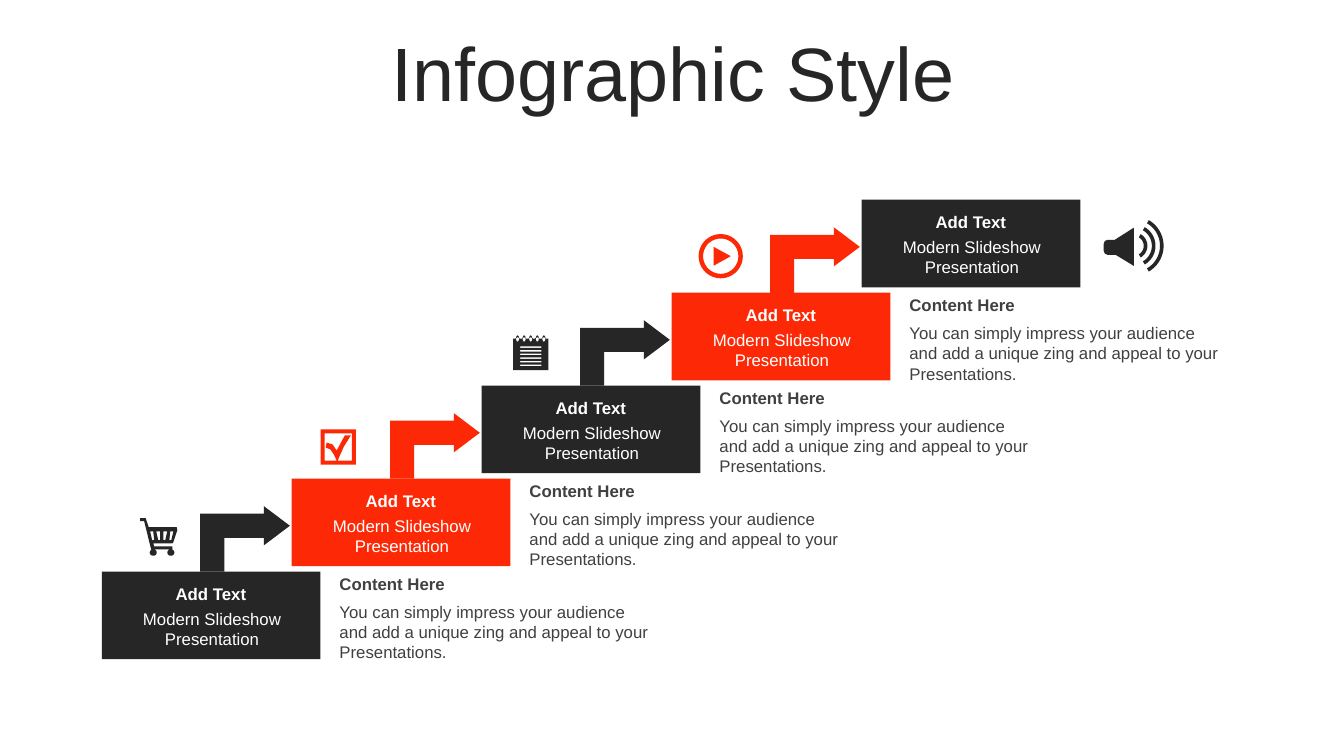
from math import cos, radians, sin

from pptx import Presentation
from pptx.dml.color import RGBColor
from pptx.enum.shapes import MSO_SHAPE
from pptx.enum.text import MSO_ANCHOR, PP_ALIGN
from pptx.util import Pt

RECTANGLE, BENT_ARROW = MSO_SHAPE.RECTANGLE, MSO_SHAPE.BENT_UP_ARROW
TOP, MIDDLE = MSO_ANCHOR.TOP, MSO_ANCHOR.MIDDLE
LEFT, CENTER = PP_ALIGN.LEFT, PP_ALIGN.CENTER

COLORS = {"dark": "262626", "red": "FD2906", "white": "FFFFFF", "gray": "404040"}
FONT = "Arial"

TITLE = "Infographic Style"
STEP_HEADING = "Add Text"
STEP_TEXT = "Modern Slideshow Presentation"
DETAIL_HEADING = "Content Here"
DETAIL_TEXT = ("You can simply impress your audience and add a unique zing "
               "and appeal to your Presentations.")
STEP_COLORS = ["dark", "red", "dark", "red", "dark"]

# Staircase geometry in points
FIRST_LEFT, FIRST_TOP = 72.7, 408.3
STEP_RIGHT, STEP_UP = 135.7, 66.4
BOX_WIDTH, BOX_HEIGHT = 156.2, 62.6
ARROW_WIDTH, ARROW_HEIGHT = 46.8, 64.1
ARROW_ADJUSTMENTS = [0.368, 0.299, 0.397]


def arc(cx, cy, rx, ry, start=0, end=360, pieces=36):
    """Points along an elliptical arc, angles in degrees."""
    angles = [radians(start + (end - start) * n / pieces) for n in range(pieces + 1)]
    return [(cx + rx * cos(a), cy + ry * sin(a)) for a in angles]


def box_outline(left, top, right, bottom):
    return [(left, top), (right, top), (right, bottom), (left, bottom)]


def cart():
    frame = [(4, 0), (6.2, 6.5), (26.2, 6.5), (26.6, 8.6), (23.6, 17.6), (23, 18),
             (9.5, 18), (10, 20.2), (23, 20.2), (23, 22.3), (7.9, 22.3),
             (2.9, 2.2), (0, 2.2), (0, 0)]
    # Top left, top right, bottom left, bottom right of each basket slot
    slots = [(7.2, 9.4, 8.6, 10.1), (11.5, 14.4, 13, 14.4),
             (16.6, 19.4, 16.6, 18), (21.6, 23.8, 20.9, 22.3)]
    basket = [[(a, 9.4), (b, 9.4), (d, 15.8), (c, 15.8)] for a, b, c, d in slots]
    wheels = [arc(x, 24.6, 2.5, 2.3) for x in (9.4, 22)]
    return [frame, *basket, *wheels]


def check_box():
    inside = [(2.9, 2.9), (2.9, 22.3), (11.5, 22.3), (9.5, 18), (7, 14.3), (3.6, 13),
              (4.3, 9.4), (8.6, 10.8), (11.5, 15.1), (17.3, 4.3), (21.6, 4.3),
              (16.5, 12.5), (12.2, 22.3), (22.3, 22.3), (22.3, 2.9)]
    return [box_outline(0, 0, 25.2, 25.2), inside]


def notepad():
    ring_centers = [3.2 + 4.7 * n for n in range(5)]
    page = [(0, 2.2)]
    for x in ring_centers:
        page += [(x - 1.8, 2.2), *arc(x, 3.2, 1.8, 1.8, 180, 0, 8), (x + 1.8, 2.2)]
        page[-10:-1] = [(px, 6.4 - py) for px, py in page[-10:-1]]
    page += [(25.2, 2.2), (25.2, 24.8), (0, 24.8)]
    rings = [arc(x, 2.2, 1.1, 2.2) for x in ring_centers]
    lines = [box_outline(5, 7.8 + 2.6 * n, 20.2, 8.9 + 2.6 * n) for n in range(6)]
    return [page, *rings, *lines]


def play_button():
    circles = [arc(15.8, 15.8, r, r) for r in (15.8, 12.6)]
    return [*circles, [(10.8, 9.2), (23, 15.8), (10.8, 22.6)]]


def loudspeaker():
    horn = [(21.6, 5), (21.6, 32.4), (8.6, 24.5), (2.9, 24.5), (0.8, 23.6), (0, 21.6),
            (0, 16.6), (0.8, 14.5), (2.9, 13.7), (7.9, 13.7)]
    waves = [arc(21.6, 18, r + 1.3, r + 1.3, -60, 60)
             + arc(21.6, 18, r - 1.3, r - 1.3, 60, -60) for r in (8.3, 14.1, 19.9)]
    return [horn, *waves]


# Left, top and contours of the icon beside each step
ICONS = [(100.1, 370.1, cart()), (229, 306.7, check_box()), (366.5, 239.6, notepad()),
         (499, 167.2, play_button()), (788.4, 157.6, loudspeaker())]


def paint(shape, color):
    shape.shadow.inherit = False
    shape.fill.solid()
    shape.fill.fore_color.rgb = RGBColor.from_string(COLORS[color])
    shape.line.fill.background()


def add_icon(slide, left, top, contours, color):
    placed = [[(Pt(left + x), Pt(top + y)) for x, y in points] for points in contours]
    builder = slide.shapes.build_freeform(*placed[0][0], scale=1.0)
    builder.add_line_segments(placed[0][1:], close=True)
    for points in placed[1:]:
        builder.move_to(*points[0])
        builder.add_line_segments(points[1:], close=True)
    paint(builder.convert_to_shape(), color)


def add_text(slide, text, left, top, width, height, color,
             size=12, bold=False, align=LEFT, anchor=TOP):
    frame = slide.shapes.add_textbox(Pt(left), Pt(top), Pt(width), Pt(height)).text_frame
    frame.word_wrap = True
    frame.vertical_anchor = anchor
    frame.text = text
    paragraph = frame.paragraphs[0]
    paragraph.alignment = align
    font = paragraph.runs[0].font
    font.name, font.size, font.bold = FONT, Pt(size), bold
    font.color.rgb = RGBColor.from_string(COLORS[color])
    return paragraph


def add_step(slide, left, top, color):
    box = slide.shapes.add_shape(RECTANGLE, Pt(left), Pt(top), Pt(BOX_WIDTH), Pt(BOX_HEIGHT))
    paint(box, color)
    add_text(slide, STEP_HEADING, left + 15.7, top + 5, 124.6, 21.6, "white",
             bold=True, align=CENTER, anchor=MIDDLE)
    add_text(slide, STEP_TEXT, left + 16.5, top + 23, 124.6, 36, "white",
             align=CENTER, anchor=MIDDLE)


def add_link_up(slide, left, top, color):
    """Arrow to the next step, with the detail text below that step."""
    arrow = slide.shapes.add_shape(BENT_ARROW, Pt(left + 78.9), Pt(top - 55.4),
                                   Pt(ARROW_WIDTH), Pt(ARROW_HEIGHT))
    for n, value in enumerate(ARROW_ADJUSTMENTS):
        arrow.adjustments[n] = value
    arrow.rotation = 270
    arrow.element.spPr.xfrm.set("flipV", "1")
    paint(arrow, color)
    add_text(slide, DETAIL_HEADING, left + 162.7, top - 2.2, 241.2, 21.6, "gray", bold=True)
    add_text(slide, DETAIL_TEXT, left + 162.7, top + 18, 241.2, 51, "gray")


def main():
    deck = Presentation()
    deck.slide_width, deck.slide_height = Pt(960), Pt(540)
    slide = deck.slides.add_slide(deck.slide_layouts[6])
    title = add_text(slide, TITLE, 25.2, 26.6, 911.5, 56.9, "dark",
                     size=54, align=CENTER, anchor=MIDDLE)
    title.line_spacing = 0.9
    for n, (color, icon) in enumerate(zip(STEP_COLORS, ICONS)):
        left, top = FIRST_LEFT + n * STEP_RIGHT, FIRST_TOP - n * STEP_UP
        add_step(slide, left, top, color)
        if n < len(STEP_COLORS) - 1:
            add_link_up(slide, left, top, color)
        add_icon(slide, *icon, color)
    deck.save("out.pptx")


if __name__ == "__main__":
    main()
